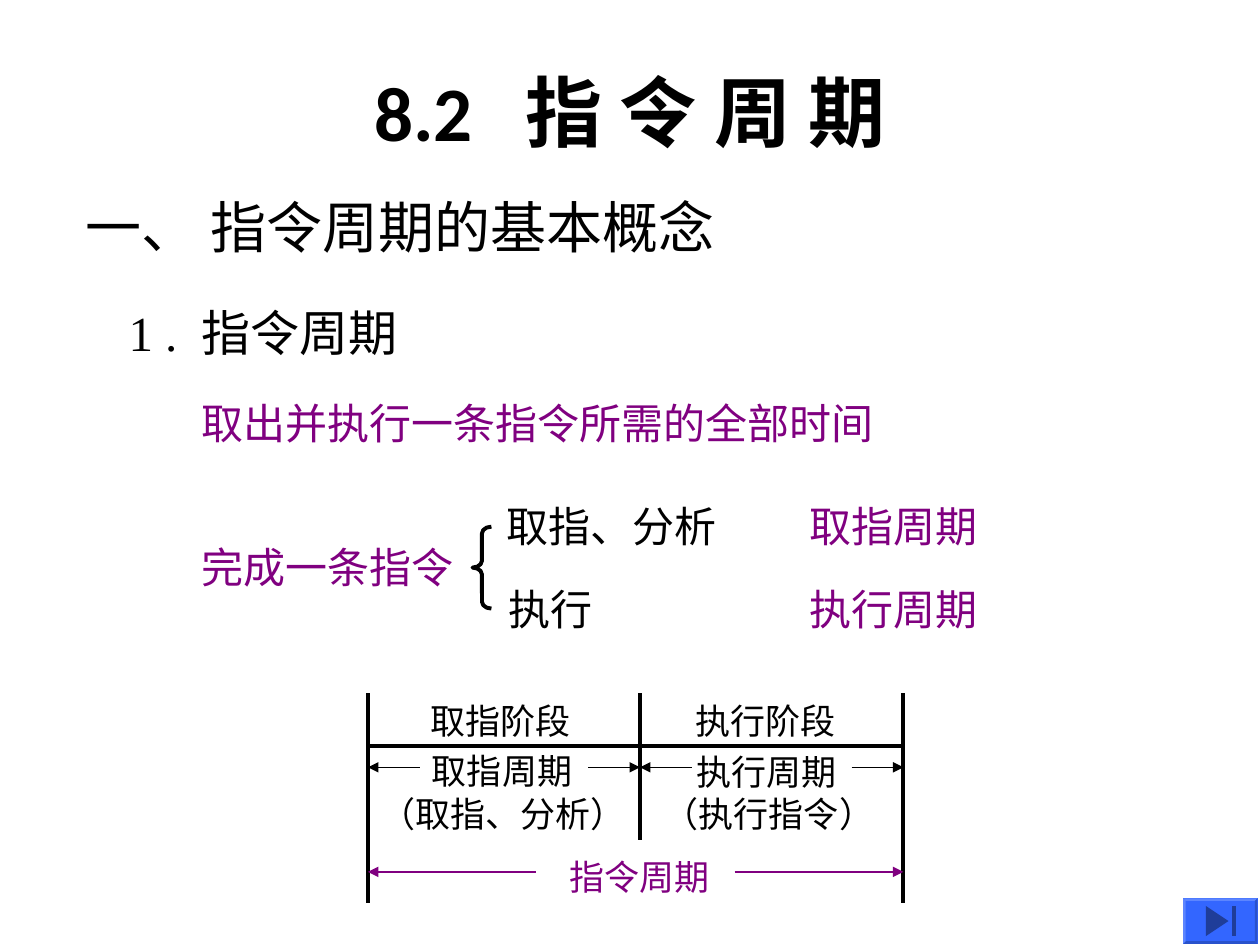
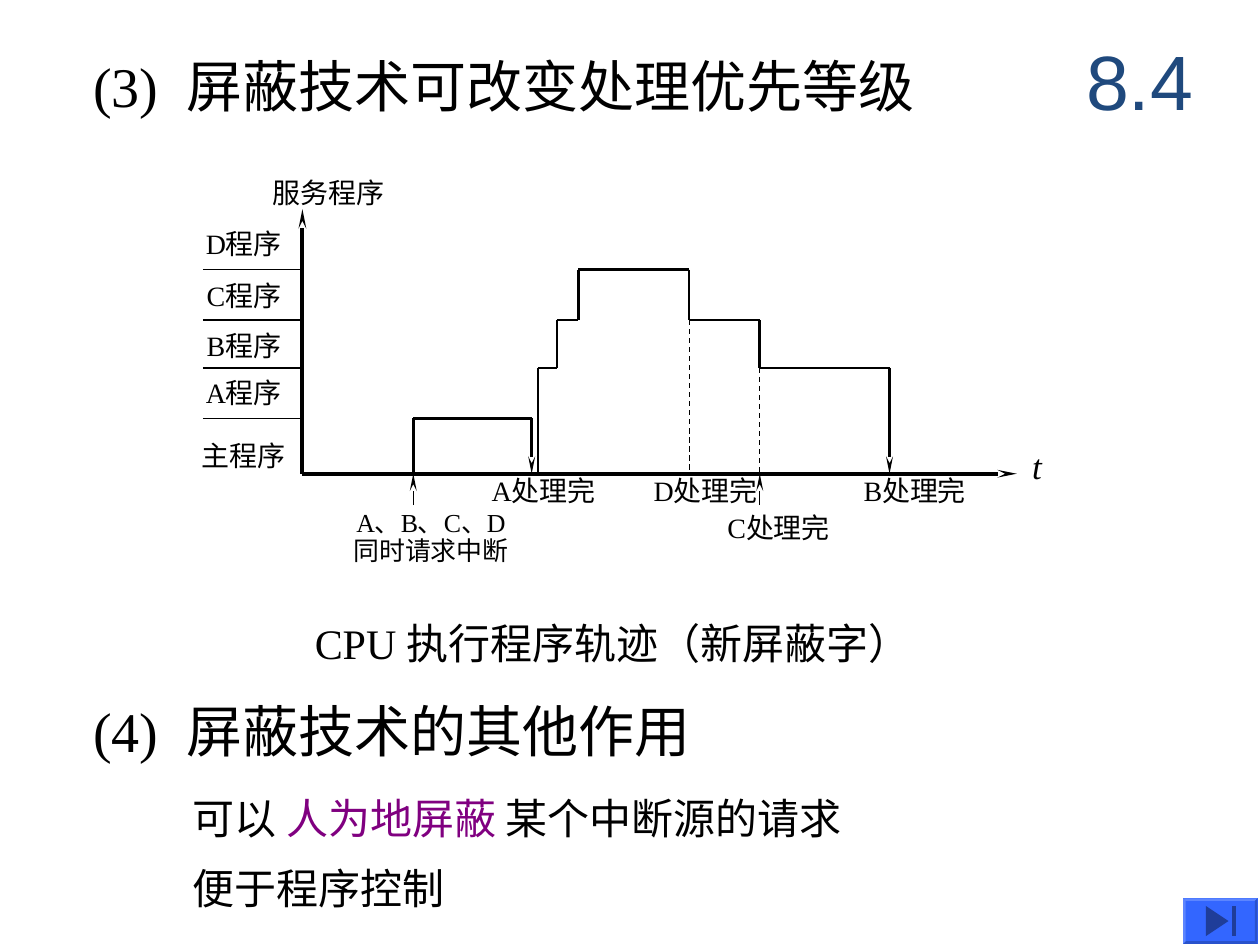
from dataclasses import dataclass
from itertools import pairwise

from lxml.etree import SubElement
from pptx import Presentation
from pptx.dml.color import RGBColor
from pptx.enum.dml import MSO_LINE
from pptx.enum.shapes import MSO_CONNECTOR, MSO_SHAPE
from pptx.enum.text import MSO_ANCHOR, MSO_AUTO_SIZE, PP_ALIGN
from pptx.oxml.ns import qn
from pptx.util import Inches, Pt

BLACK = RGBColor(0x00, 0x00, 0x00)
PURPLE = RGBColor(0x80, 0x00, 0x80)
NAVY = RGBColor(0x1F, 0x49, 0x7D)
BUTTON = RGBColor(0x33, 0x66, 0xFF)
BUTTON_LIGHT = RGBColor(0x5C, 0x85, 0xFF)
BUTTON_SHADE = RGBColor(0x29, 0x52, 0xCC)
BUTTON_DARK = RGBColor(0x1F, 0x3D, 0x99)
SERIF = "Times New Roman"
PADDED = (0.1, 0.05, 0.1, 0.05)
FLUSH = (0, 0, 0, 0)


@dataclass
class Region:
    """A box on a slide whose parts are placed from its top left corner."""
    slide: object
    left: float = 0
    top: float = 0

    def text(self, words, box, **style):
        """Add a text box at a place relative to the region."""
        x, y, width, height = box
        shape = self.slide.shapes.add_textbox(
            Inches(self.left + x), Inches(self.top + y), Inches(width), Inches(height))
        write(shape, words, **style)

    def line(self, start, end, width=0.75, color=BLACK, head=None, tail=None, dash=False):
        """Add a straight line with optional arrowheads."""
        points = [Inches(v) for x, y in (start, end) for v in (self.left + x, self.top + y)]
        connector = self.slide.shapes.add_connector(MSO_CONNECTOR.STRAIGHT, *points)
        connector.line.color.rgb = color
        connector.line.width = Pt(width)
        if dash:
            connector.line.dash_style = MSO_LINE.DASH
        properties = connector._element.spPr
        outline = properties.find(qn("a:ln"))
        for tag, kind in (("a:headEnd", head), ("a:tailEnd", tail)):
            if kind:
                arrow = SubElement(outline, qn(tag), type=kind)
                if kind == "stealth":
                    arrow.set("w", "sm")
                    arrow.set("len", "lg")
        SubElement(properties, qn("a:effectLst"))


def write(shape, words, size=24, color=BLACK, font=SERIF, bold=False, italic=False,
          align=PP_ALIGN.LEFT, anchor=MSO_ANCHOR.TOP, insets=PADDED, wrap=True,
          line_spacing=1.0):
    """Fill a shape with paragraphs; a paragraph is a string or (text, colour) runs."""
    frame = shape.text_frame
    frame.word_wrap = wrap
    frame.auto_size = MSO_AUTO_SIZE.NONE
    frame.vertical_anchor = anchor
    (frame.margin_left, frame.margin_top,
     frame.margin_right, frame.margin_bottom) = map(Inches, insets)
    for index, content in enumerate([words] if isinstance(words, str) else words):
        paragraph = frame.add_paragraph() if index else frame.paragraphs[0]
        paragraph.alignment = align
        paragraph.line_spacing = line_spacing
        paragraph.space_before = Pt(0)
        for part, tint in [(content, color)] if isinstance(content, str) else content:
            run = paragraph.add_run()
            run.text = part
            run.font.name = font
            run.font.size = Pt(size)
            run.font.bold = bold
            run.font.italic = italic
            run.font.color.rgb = tint


def fill_placeholder(shape, words, box, **style):
    """Move a placeholder to a box and write its text."""
    shape.left, shape.top, shape.width, shape.height = map(Inches, box)
    write(shape, words, **style)


def format_list(shape, levels):
    """Give each paragraph its indent, space before and size, without a bullet."""
    for paragraph, (indent, space, size) in zip(shape.text_frame.paragraphs, levels):
        properties = paragraph._p.get_or_add_pPr()
        properties.set("marL", str(Inches(indent)))
        properties.set("indent", "0")
        paragraph.space_before = Pt(space)
        SubElement(properties, qn("a:buNone"))
        for run in paragraph.runs:
            run.font.size = Pt(size)


def add_end_button(slide, left=9.39, top=7.13, width=0.59, height=0.36):
    """Draw the bevelled button that leads to the end."""
    edge = 0.02
    right, bottom = width - edge, height - edge
    outer = [(0, 0), (width, 0), (width, height), (0, height)]
    inner = [(edge, edge), (right, edge), (right, bottom), (edge, bottom)]
    shades = (BUTTON_LIGHT, BUTTON_SHADE, BUTTON_SHADE, BUTTON_LIGHT)
    pieces = [(BUTTON, outer)]
    for side, shade in enumerate(shades):
        after = (side + 1) % 4
        pieces.append((shade, [outer[side], outer[after], inner[after], inner[side]]))
    pieces.append((BUTTON_DARK, [(0.36, 0.18), (0.18, 0.3), (0.18, 0.06)]))
    pieces.append((BUTTON_DARK, [(0.39, 0.06), (0.39, 0.3), (0.42, 0.3), (0.42, 0.06)]))
    group = slide.shapes.add_group_shape()
    for color, points in pieces:
        corners = [(Inches(left + x), Inches(top + y)) for x, y in points]
        builder = group.shapes.build_freeform(*corners[0])
        builder.add_line_segments(corners[1:], close=True)
        shape = builder.convert_to_shape()
        shape.shadow.inherit = False
        shape.fill.solid()
        shape.fill.fore_color.rgb = color
        shape.line.fill.background()


def add_steps(slide, left, top):
    """Split the completion of an instruction into its two steps."""
    region = Region(slide, left, top)
    region.text("完成一条指令", (0, 0.33, 3, 0.5), color=PURPLE)
    brace = slide.shapes.add_shape(MSO_SHAPE.LEFT_BRACE, Inches(left + 2.25),
                                   Inches(top + 0.26), Inches(0.15), Inches(0.65))
    brace.adjustments[0] = 0.36
    brace.shadow.inherit = False
    brace.fill.background()
    brace.line.color.rgb = BLACK
    brace.line.width = Pt(2.25)
    rows = [("取指、分析", 2.42, "取指周期"), ("执行", 2.44, "执行周期")]
    for row, (step, x, cycle) in enumerate(rows):
        region.text(step, (x, row * 0.66, 2.17, 0.5))
        region.text(cycle, (4.83, row * 0.66, 2, 0.5), color=PURPLE)


def add_phase_diagram(slide, left, top):
    """Draw the fetch and execute phases along the instruction cycle."""
    region = Region(slide, left, top)
    middle, end, height = 2.16, 4.25, 1.67
    region.line((0, 0.42), (end, 0.42), 2.25)
    for x, length in ((0, height), (middle, 1.17), (end, height)):
        region.line((x, 0), (x, length), 2.25)
    phases = [
        (0, middle, [("取指阶段", 0.4, 0, 1.31), ("取指周期", 0.41, 0.4, 1.31),
                     ("（取指、分析）", 0, 0.74, 2.15)]),
        (middle, end, [("执行阶段", 2.5, 0, 1.31), ("执行周期", 2.51, 0.41, 1.31),
                       ("（执行指令）", 2.25, 0.74, 1.87)]),
    ]
    for start, stop, labels in phases:
        for words, x, y, width in labels:
            region.text(words, (x, y, width, 0.44), size=20, wrap=False)
        for tip, base in ((start, start + 0.41), (stop, stop - 0.41)):
            region.line((base, 0.59), (tip, 0.59), tail="triangle")
    region.text("指令周期", (1.5, 1.24, 1.31, 0.44), size=20, color=PURPLE, wrap=False)
    for base, tip in ((1.33, 0), (2.91, end)):
        region.line((base, 1.42), (tip, 1.42), color=PURPLE, tail="triangle")


def add_trajectory(slide, left, top):
    """Draw the step trace of the service programs over time."""
    region = Region(slide, left, top)
    label = {"size": 16, "align": PP_ALIGN.CENTER, "insets": FLUSH}
    axis_x, axis_y = 0.87, 2.37
    level_a, level_b, level_c, level_d = levels = (1.93, 1.53, 1.15, 0.75)
    request, a_end, d_end, c_end, b_end = 1.75, 2.69, 3.94, 4.5, 5.53

    region.line((axis_x, axis_y), (6.54, axis_y), 2.25, tail="stealth")
    region.line((axis_x, axis_y), (axis_x, 0.27), 2.25, tail="stealth")
    region.text("服务程序", (0.49, 0, 1.17, 0.39), **label)
    region.text("t", (6.47, 2.14, 0.46, 0.36), **{**label, "size": 20}, italic=True)

    programs = [("主程序", 2.09), ("A程序", 1.59), ("B程序", 1.22),
                ("C程序", 0.82), ("D程序", 0.41)]
    for words, y in programs:
        region.text(words, (0, y, 0.81, 0.36), **label)
    for y in levels:
        region.line((0.08, y), (axis_x, y))

    traces = [
        [(request, axis_y), (request, level_a), (a_end, level_a), (a_end, axis_y)],
        [(2.74, axis_y), (2.74, level_b), (2.89, level_b), (2.89, level_c),
         (3.06, level_c), (3.06, level_d), (d_end, level_d), (d_end, level_c),
         (c_end, level_c), (c_end, level_b), (b_end, level_b), (b_end, axis_y)],
    ]
    for trace in traces:
        for start, stop in pairwise(trace):
            region.line(start, stop, 1.5, tail="stealth" if stop == trace[-1] else None)
    for x, y in ((d_end, level_c), (c_end, level_b)):
        region.line((x, y), (x, axis_y), dash=True)
    for x in (request, c_end):
        region.line((x, axis_y + 0.25), (x, axis_y), tail="stealth")

    endings = [("A处理完", 2.26, axis_y, 1.05), ("D处理完", 3.57, axis_y, 1),
               ("C处理完", 4.17, 2.66, 0.96), ("B处理完", 5.16, axis_y, 1.14)]
    for words, x, y, width in endings:
        region.text(words, (x, y, width, 0.38), **label)
    region.text(["A、B、C、D", "同时请求中断"], (1.1, 2.66, 1.58, 0.56),
                **{**label, "size": 14.8}, line_spacing=0.9)
    region.text("CPU 执行程序轨迹（新屏蔽字）", (0.87, 3.46, 5.67, 0.5))


def add_cycle_slide(presentation):
    """Build the slide on the instruction cycle."""
    slide = presentation.slides.add_slide(presentation.slide_layouts[1])
    fill_placeholder(slide.shapes.title, "8.2   指 令 周 期", (0.75, 0.25, 8.5, 1.25),
                     size=44, font="Calibri", bold=True, align=PP_ALIGN.CENTER,
                     anchor=MSO_ANCHOR.MIDDLE)
    body = slide.placeholders[1]
    fill_placeholder(body, ["一、 指令周期的基本概念", "1 .  指令周期",
                            [("取出并执行一条指令所需的全部时间", PURPLE)]],
                     (0.58, 1.48, 7.2, 2.1))
    format_list(body, [(0, 0, 32), (0.34, 24, 28), (0.92, 21, 24)])
    add_steps(slide, 1.5, 3.92)
    add_phase_diagram(slide, 2.92, 5.5)
    add_end_button(slide)


def add_masking_slide(presentation):
    """Build the slide on interrupt masking."""
    slide = presentation.slides.add_slide(presentation.slide_layouts[1])
    heading = {"size": 32, "insets": FLUSH, "anchor": MSO_ANCHOR.MIDDLE}
    fill_placeholder(slide.shapes.title, "(3)  屏蔽技术可改变处理优先等级",
                     (0.74, 0.44, 7.57, 0.47), **heading)
    page = Region(slide)
    page.text("8.4", (8.42, 0.17, 1.25, 0.92), size=44, color=NAVY, font="Arial",
              align=PP_ALIGN.CENTER, anchor=MSO_ANCHOR.MIDDLE)
    add_trajectory(slide, 1.53, 1.39)
    page.text("(4)  屏蔽技术的其他作用", (0.74, 5.56, 5.9, 0.47), **heading)
    body = slide.placeholders[1]
    fill_placeholder(body, [[("可以 ", BLACK), ("人为地屏蔽 ", PURPLE),
                             ("某个中断源的请求", BLACK)], "便于程序控制"],
                     (1.53, 6.24, 6.9, 1.06), insets=(0, 0.05, 0.1, 0.05))
    format_list(body, [(0, 0, 24), (0, 11, 24)])
    add_end_button(slide)


def main():
    """Build both slides and save the presentation."""
    presentation = Presentation()
    presentation.slide_width = Inches(10)
    presentation.slide_height = Inches(7.5)
    add_cycle_slide(presentation)
    add_masking_slide(presentation)
    presentation.save("out.pptx")


if __name__ == "__main__":
    main()
